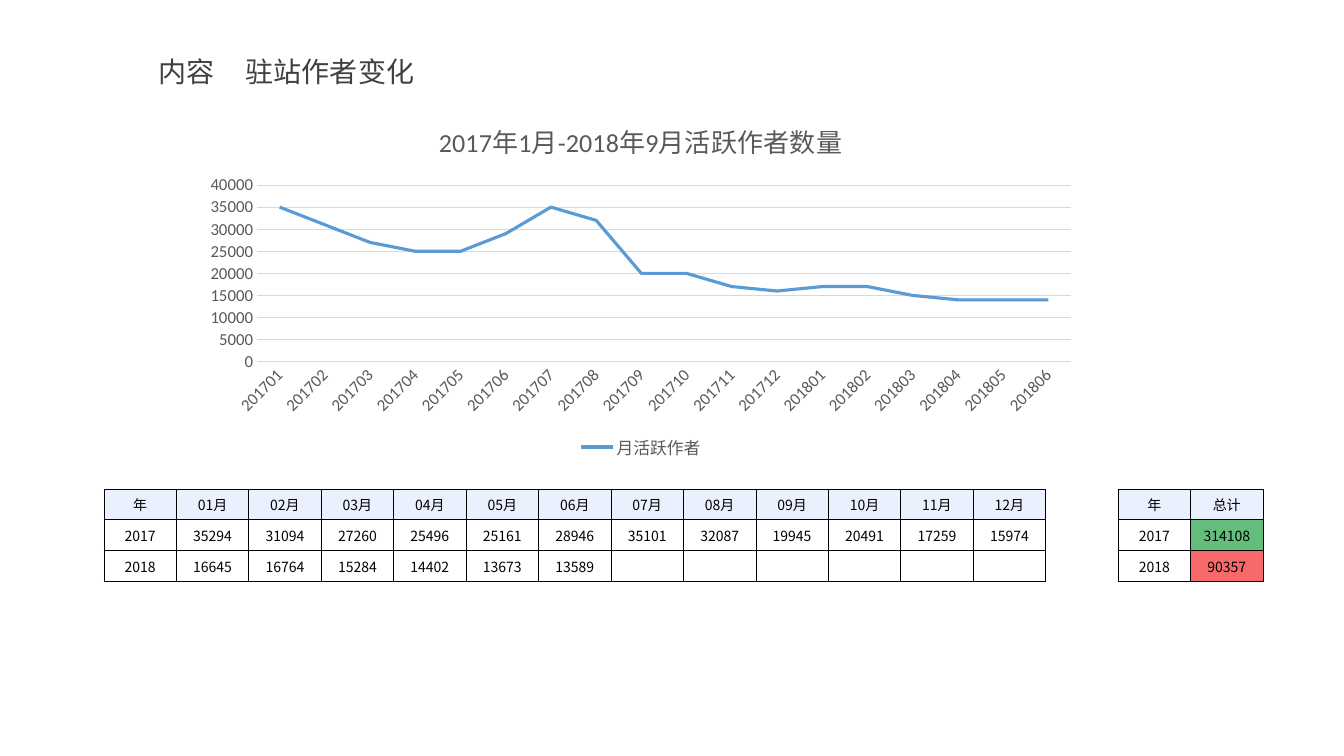
"""Build the slide on monthly active authors with a line chart and a table."""
import pptx
import pptx.chart.data
import pptx.dml.color
import pptx.enum.chart
import pptx.enum.text
import pptx.oxml.ns
import pptx.util
from lxml import etree

Inches = pptx.util.Inches
Pt = pptx.util.Pt
RGBColor = pptx.dml.color.RGBColor
qn = pptx.oxml.ns.qn

BLACK = RGBColor(0x00, 0x00, 0x00)
DARK = RGBColor(0x40, 0x40, 0x40)
GREY = RGBColor(0x59, 0x59, 0x59)
GRID = RGBColor(0xD9, 0xD9, 0xD9)
BLUE = RGBColor(0x5B, 0x9B, 0xD5)
HEADER = RGBColor(0xEB, 0xF0, 0xFE)
GREEN = RGBColor(0x63, 0xBE, 0x7B)
RED = RGBColor(0xF8, 0x69, 0x6B)

CHINESE_FONT = "Noto Sans CJK SC"
AUTHORS = {
    "2017": [35294, 31094, 27260, 25496, 25161, 28946,
             35101, 32087, 19945, 20491, 17259, 15974],
    "2018": [16645, 16764, 15284, 14402, 13673, 13589],
}
TOTAL_FILLS = {"2017": GREEN, "2018": RED}
MONTHS = 12
GAP_COLUMN = MONTHS + 1


def style_font(font, *, name="Calibri", size=12, color=GREY):
    font.name, font.size, font.bold = name, Pt(size), False
    font.color.rgb = color


def write_text(para, text, *, name=CHINESE_FONT, size=10, color=BLACK, align=None):
    para.alignment = align
    style_font(para.font, name=name, size=size, color=color)
    if text:
        span = para.add_run()
        span.text = text
        style_font(span.font, name=name, size=size, color=color)
        etree.SubElement(span._r.get_or_add_rPr(), qn("a:ea"), typeface=CHINESE_FONT)


def add_border(cell, side, color):
    line = etree.SubElement(cell._tc.get_or_add_tcPr(), qn(f"a:ln{side}"), w=str(Pt(0.5)))
    if color is None:
        etree.SubElement(line, qn("a:noFill"))
    else:
        fill = etree.SubElement(line, qn("a:solidFill"))
        etree.SubElement(fill, qn("a:srgbClr"), val=str(color))


class SlideWriter:
    def __init__(self, page):
        self.page = page

    def heading(self, text, left, top, width, height, tab):
        box = self.page.shapes.add_textbox(Inches(left), Inches(top), Inches(width), Inches(height))
        box.text_frame.word_wrap = True
        para = box.text_frame.paragraphs[0]
        stops = etree.SubElement(para._p.get_or_add_pPr(), qn("a:tabLst"))
        etree.SubElement(stops, qn("a:tab"), pos=str(Inches(tab)), algn="l")
        write_text(para, text, size=20, color=DARK)

    def line_chart(self, title, name, points, left, top, width, height):
        data = pptx.chart.data.CategoryChartData()
        data.categories = list(points)
        data.add_series(name, list(points.values()))
        chart = self.page.shapes.add_chart(
            pptx.enum.chart.XL_CHART_TYPE.LINE,
            Inches(left), Inches(top), Inches(width), Inches(height), data).chart
        style_font(chart.font, size=10, color=BLACK)
        chart.has_title = True
        chart.chart_title.include_in_layout = False
        para = chart.chart_title.text_frame.paragraphs[0]
        write_text(para, title, name="Calibri", size=18.6, color=GREY)
        chart.has_legend = True
        chart.legend.position = pptx.enum.chart.XL_LEGEND_POSITION.BOTTOM
        chart.legend.include_in_layout = False
        style_font(chart.legend.font)
        for axis in (chart.category_axis, chart.value_axis):
            axis.major_tick_mark = axis.minor_tick_mark = pptx.enum.chart.XL_TICK_MARK.NONE
            style_font(axis.tick_labels.font)
        labels = chart.category_axis._element.find(qn("c:txPr"))
        labels.find(qn("a:bodyPr")).set("rot", "-2700000")
        value_axis = chart.value_axis
        value_axis.minimum_scale, value_axis.maximum_scale = 0, 40000
        value_axis.major_unit = 5000
        value_axis.format.line.fill.background()
        for line in (chart.category_axis.format.line, value_axis.major_gridlines.format.line):
            line.color.rgb, line.width = GRID, Pt(0.75)
        chart.plots[0].vary_by_categories = False
        series = chart.plots[0].series[0]
        series.smooth = False
        series.marker.style = pptx.enum.chart.XL_MARKER_STYLE.NONE
        series.format.line.color.rgb, series.format.line.width = BLUE, Pt(2.25)

    def table(self, rows, fills, left, top, width, height):
        table = self.page.shapes.add_table(
            len(rows), len(rows[0]), Inches(left), Inches(top), Inches(width), Inches(height)).table
        table.first_row = table.horz_banding = False
        for row, texts in enumerate(rows):
            for column, text in enumerate(texts):
                self.cell(table.cell(row, column), text, fills.get((row, column)),
                          None if column == GAP_COLUMN else BLACK)

    def cell(self, cell, text, fill, edge):
        cell.margin_left = cell.margin_right = cell.margin_top = Inches(0.01)
        cell.margin_bottom = 0
        cell.vertical_anchor = pptx.enum.text.MSO_ANCHOR.MIDDLE
        for side, color in (("L", BLACK), ("R", BLACK), ("T", edge), ("B", edge)):
            add_border(cell, side, color)
        if fill is None:
            cell.fill.background()
        else:
            cell.fill.solid()
            cell.fill.fore_color.rgb = fill
        write_text(cell.text_frame.paragraphs[0], text, align=pptx.enum.text.PP_ALIGN.CENTER)


def main():
    deck = pptx.Presentation()
    deck.slide_width, deck.slide_height = Inches(13.33), Inches(7.5)
    writer = SlideWriter(deck.slides.add_slide(deck.slide_layouts[6]))
    writer.heading("内容\t驻站作者变化", 1.47, 0.49, 2.86, 0.44, tab=0.87)

    points = {f"{year}{month:02}": round(count, -3) for year, counts in AUTHORS.items()
              for month, count in enumerate(counts, 1)}
    writer.line_chart("2017年1月-2018年9月活跃作者数量", "月活跃作者", points,
                      1.91, 1.01, 8.89, 3.59)

    rows = [["年", *(f"{month:02}月" for month in range(1, MONTHS + 1)), "", "年", "总计"]]
    fills = {(0, column): HEADER for column in range(len(rows[0])) if column != GAP_COLUMN}
    for row, (year, counts) in enumerate(AUTHORS.items(), 1):
        blanks = [""] * (MONTHS - len(counts))
        rows.append([year, *map(str, counts), *blanks, "", year, str(sum(counts))])
        fills[row, len(rows[0]) - 1] = TOTAL_FILLS[year]
    writer.table(rows, fills, 1.03, 4.85, 11.5, 0.92)
    deck.save("out.pptx")


if __name__ == "__main__":
    main()
